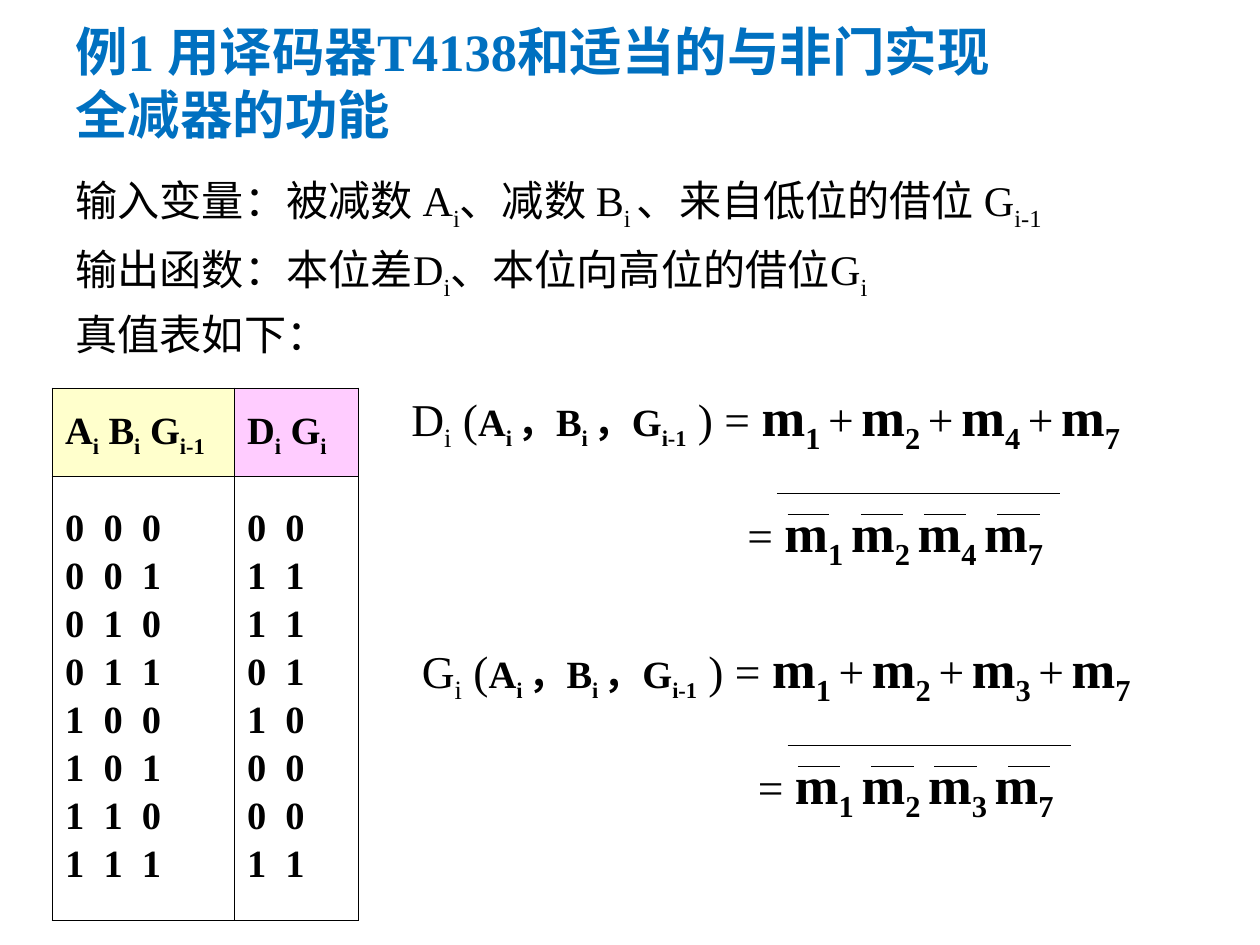
from pptx import Presentation
from pptx.dml.color import RGBColor
from pptx.enum.shapes import MSO_CONNECTOR
from pptx.enum.text import MSO_ANCHOR
from pptx.oxml.xmlchemy import OxmlElement
from pptx.util import Pt

STRAIGHT = MSO_CONNECTOR.STRAIGHT
MIDDLE = MSO_ANCHOR.MIDDLE
FONT = "Times New Roman"
BLACK = "000000"


def hex_color(value):
    return RGBColor.from_string(value)


def add_runs(paragraph, marked, size, bold=False, color=BLACK):
    """Add runs from text in which each underscore switches subscript on or off."""
    for index, text in enumerate(marked.split("_")):
        if not text:
            continue
        run = paragraph.add_run()
        run.text = text
        run.font.name = FONT
        run.font.size = Pt(size)
        run.font.bold = bold
        run.font.color.rgb = hex_color(color)
        if index % 2:
            run.font._element.set("baseline", "-25000")


prs = Presentation()
prs.slide_width, prs.slide_height = Pt(720), Pt(540)
slide = prs.slides.add_slide(prs.slide_layouts[6])

# Title
title = slide.shapes.add_textbox(Pt(36), Pt(20), Pt(540), Pt(54)).text_frame
title.word_wrap = True
title.vertical_anchor = MIDDLE
add_runs(title.paragraphs[0], "例1 用译码器T4138和适当的与非门实现全减器的功能", 30, True, "0070C0")

# Inputs and outputs
variables = slide.shapes.add_textbox(Pt(36), Pt(102), Pt(630), Pt(120)).text_frame
variables.word_wrap = True
statements = [
    "输入变量：被减数 A_i_、减数 B_i _、来自低位的借位 G_i-1",
    "输出函数：本位差D_i_、本位向高位的借位G_i",
    "真值表如下：",
]
for number, statement in enumerate(statements):
    paragraph = variables.add_paragraph() if number else variables.paragraphs[0]
    paragraph.line_spacing = 0.7
    if number:
        paragraph.space_before = Pt(16.2)
    add_runs(paragraph, statement, 24.1)

# Truth table
truth_table = slide.shapes.add_table(2, 2, Pt(30), Pt(222), Pt(175), Pt(304)).table
for column, width in zip(truth_table.columns, (104, 71)):
    column.width = Pt(width)
for row, height in zip(truth_table.rows, (50, 254)):
    row.height = Pt(height)

inputs = [f"{a}  {b}  {g}" for a in (0, 1) for b in (0, 1) for g in (0, 1)]
outputs = ["0  0", "1  1", "1  1", "0  1", "1  0", "0  0", "0  0", "1  1"]
cells = [
    [(["A_i_ B_i_ G_i-1"], "FFFFCC"), (["D_i_ G_i"], "FFCCFF")],
    [(inputs, "FFFFFF"), (outputs, "FFFFFF")],
]
for r, row in enumerate(cells):
    for c, (lines, fill) in enumerate(row):
        cell = truth_table.cell(r, c)
        cell.vertical_anchor = MIDDLE
        for number, line in enumerate(lines):
            frame = cell.text_frame
            paragraph = frame.add_paragraph() if number else frame.paragraphs[0]
            paragraph.line_spacing = 0.9
            if number:
                paragraph.space_before = Pt(5.5)
            add_runs(paragraph, line, 22, True)

        properties = cell._tc.get_or_add_tcPr()
        outer_sides = {"a:lnL": c == 0, "a:lnR": c == 1, "a:lnT": r == 0, "a:lnB": r == 1}
        for side, outer in outer_sides.items():
            border = OxmlElement(side)
            border.set("w", str(Pt(1.08 if outer else 0.45)))
            solid = OxmlElement("a:solidFill")
            border_color = OxmlElement("a:srgbClr")
            border_color.set("val", BLACK)
            solid.append(border_color)
            border.append(solid)
            properties.append(border)
        cell.fill.solid()
        cell.fill.fore_color.rgb = hex_color(fill)

# Each function as a sum of minterms, then as a NAND of negated minterms
for name, minterms, dx, dy in [("D", "1247", 0, 0), ("G", "1237", 6, 144)]:
    sum_frame = slide.shapes.add_textbox(Pt(228 + dx), Pt(216 + dy), Pt(468), Pt(48)).text_frame
    sum_frame.word_wrap = True
    sum_form = sum_frame.paragraphs[0]
    add_runs(sum_form, f"{name}_i_ (", 26)
    add_runs(sum_form, "A_i _，B_i _，G_i-1", 22, True)
    add_runs(sum_form, " ) = ", 26)
    add_runs(sum_form, f"m_{minterms[0]} ", 30, True)
    for minterm in minterms[1:]:
        add_runs(sum_form, "+", 26)
        ending = "" if minterm == minterms[-1] else " "
        add_runs(sum_form, f"_ _m_{minterm}{ending}", 30, True)

    nand = slide.shapes.add_group_shape().shapes
    nand_frame = nand.add_textbox(Pt(420 + dx), Pt(282 + dy), Pt(210), Pt(48)).text_frame
    nand_frame.word_wrap = True
    nand_form = nand_frame.paragraphs[0]
    add_runs(nand_form, "= ", 26)
    add_runs(nand_form, " _".join(f"m_{minterm}" for minterm in minterms), 30, True)

    overbars = [(x, 294, 24) for x in (450, 492, 528, 570)] + [(444, 282, 162)]
    for x, y, length in overbars:
        bar = nand.add_connector(
            STRAIGHT, Pt(x + dx), Pt(y + dy), Pt(x + dx + length), Pt(y + dy))
        bar.line.width = Pt(0.75)
        bar.line.color.rgb = hex_color(BLACK)
        bar._element.spPr.append(OxmlElement("a:effectLst"))

prs.save("out.pptx")
